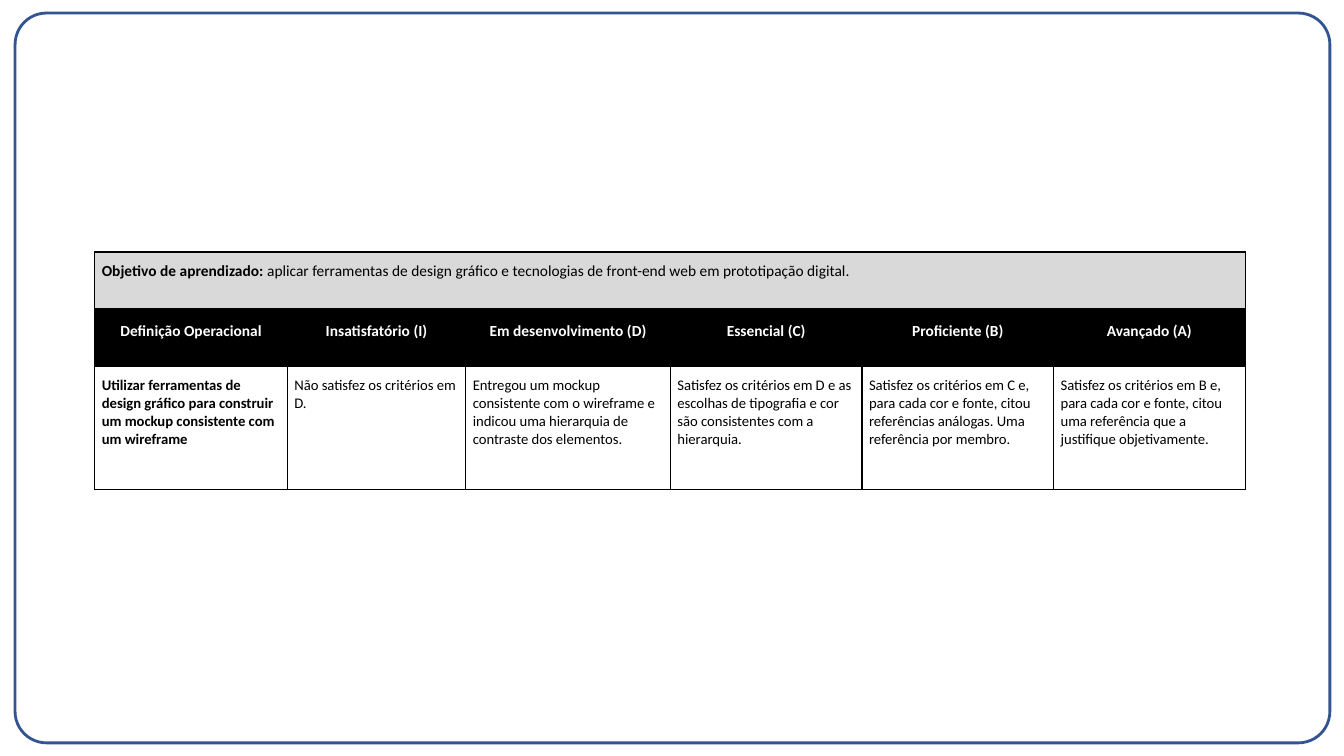
from lxml.etree import SubElement
from pptx import Presentation
from pptx.dml.color import RGBColor
from pptx.enum.shapes import MSO_SHAPE as Shape
from pptx.enum.text import PP_ALIGN as Align
from pptx.oxml.ns import qn
from pptx.util import Inches, Pt

COLORS = {"frame": "325491", "ink": "000000", "paper": "FFFFFF", "goal": "D9D9D9"}

GOAL = [
    ("Objetivo de aprendizado: ", True),
    ("aplicar ferramentas de design gráfico e tecnologias de front-end web "
     "em prototipação digital.", False),
]
# Level heading, column width, criterion
LEVELS = [
    ("Definição Operacional", 1.91,
     "Utilizar ferramentas de design gráfico para construir um mockup consistente com um wireframe"),
    ("Insatisfatório (I)", 1.77, "Não satisfez os critérios em D."),
    ("Em desenvolvimento (D)", 2.03,
     "Entregou um mockup consistente com o wireframe e indicou uma hierarquia de contraste dos elementos."),
    ("Essencial (C)", 1.9,
     "Satisfez os critérios em D e as escolhas de tipografia e cor são consistentes com a hierarquia."),
    ("Proficiente (B)", 1.9,
     "Satisfez os critérios em C e, para cada cor e fonte, citou referências análogas. "
     "Uma referência por membro."),
    ("Avançado (A)", 1.9,
     "Satisfez os critérios em B e, para cada cor e fonte, citou uma referência que a "
     "justifique objetivamente."),
]
ROW_HEIGHTS = [0.56, 0.58, 1.22]


def rgb(name):
    return RGBColor.from_string(COLORS[name])


class RubricSlide:
    font = "Calibri"
    margins = {"margin_left": Inches(0.07), "margin_right": Inches(0.07),
               "margin_top": Inches(0.1), "margin_bottom": Inches(0.1)}

    def __init__(self, deck):
        self.slide = deck.slides.add_slide(deck.slide_layouts[6])

    def frame(self, left, top, width, height):
        border = self.slide.shapes.add_shape(
            Shape.ROUNDED_RECTANGLE, *map(Inches, (left, top, width, height)))
        border.adjustments[0] = 0.043
        border.shadow.inherit = False
        border.fill.background()
        border.line.color.rgb = rgb("frame")
        border.line.width = Pt(2)

    def table(self, left, top, widths, heights):
        rubric = self.slide.shapes.add_table(
            len(heights), len(widths),
            *map(Inches, (left, top, sum(widths), sum(heights)))).table
        rubric.first_row = rubric.horz_banding = False
        for column, width in zip(rubric.columns, widths):
            column.width = Inches(width)
        for row, height in zip(rubric.rows, heights):
            row.height = Inches(height)
        for cell in rubric.iter_cells():
            self.borders(cell)
        return rubric

    def borders(self, cell):
        props = cell._tc.get_or_add_tcPr()
        for side in ("lnL", "lnR", "lnT", "lnB"):
            line = SubElement(props, qn(f"a:{side}"), w=str(Pt(1)))
            fill = SubElement(line, qn("a:solidFill"))
            SubElement(fill, qn("a:srgbClr"), val=COLORS["ink"])

    def cell(self, cell, runs, size=11, color="ink", fill=None, **layout):
        for name, value in self.margins.items():
            setattr(cell, name, value)
        if fill:
            cell.fill.solid()
            cell.fill.fore_color.rgb = rgb(fill)
        else:
            cell.fill.background()
        paragraph = cell.text_frame.paragraphs[0]
        for name, value in layout.items():
            setattr(paragraph, name, value)
        for text, bold in runs:
            run = paragraph.add_run()
            run.text = text
            style = {"name": self.font, "size": Pt(size), "bold": bold}
            for name, value in style.items():
                setattr(run.font, name, value)
            run.font.color.rgb = rgb(color)


def main():
    deck = Presentation()
    deck.slide_width, deck.slide_height = Inches(13.33), Inches(7.5)
    page = RubricSlide(deck)

    # Rounded page frame
    page.frame(0.15, 0.13, 13.04, 7.24)

    # Learning goal across the top of the rubric
    rubric = page.table(0.94, 2.5, [width for _, width, _ in LEVELS], ROW_HEIGHTS)
    rubric.cell(0, 0).merge(rubric.cell(0, len(LEVELS) - 1))
    page.cell(rubric.cell(0, 0), GOAL, fill="goal")

    # Level headings and criteria
    for index, (heading, _, criterion) in enumerate(LEVELS):
        page.cell(rubric.cell(1, index), [(heading, True)], color="paper", fill="ink",
                  alignment=Align.CENTER, line_spacing=1.15)
        page.cell(rubric.cell(2, index), [(criterion, index == 0)], size=10.5)

    deck.save("out.pptx")


if __name__ == "__main__":
    main()
